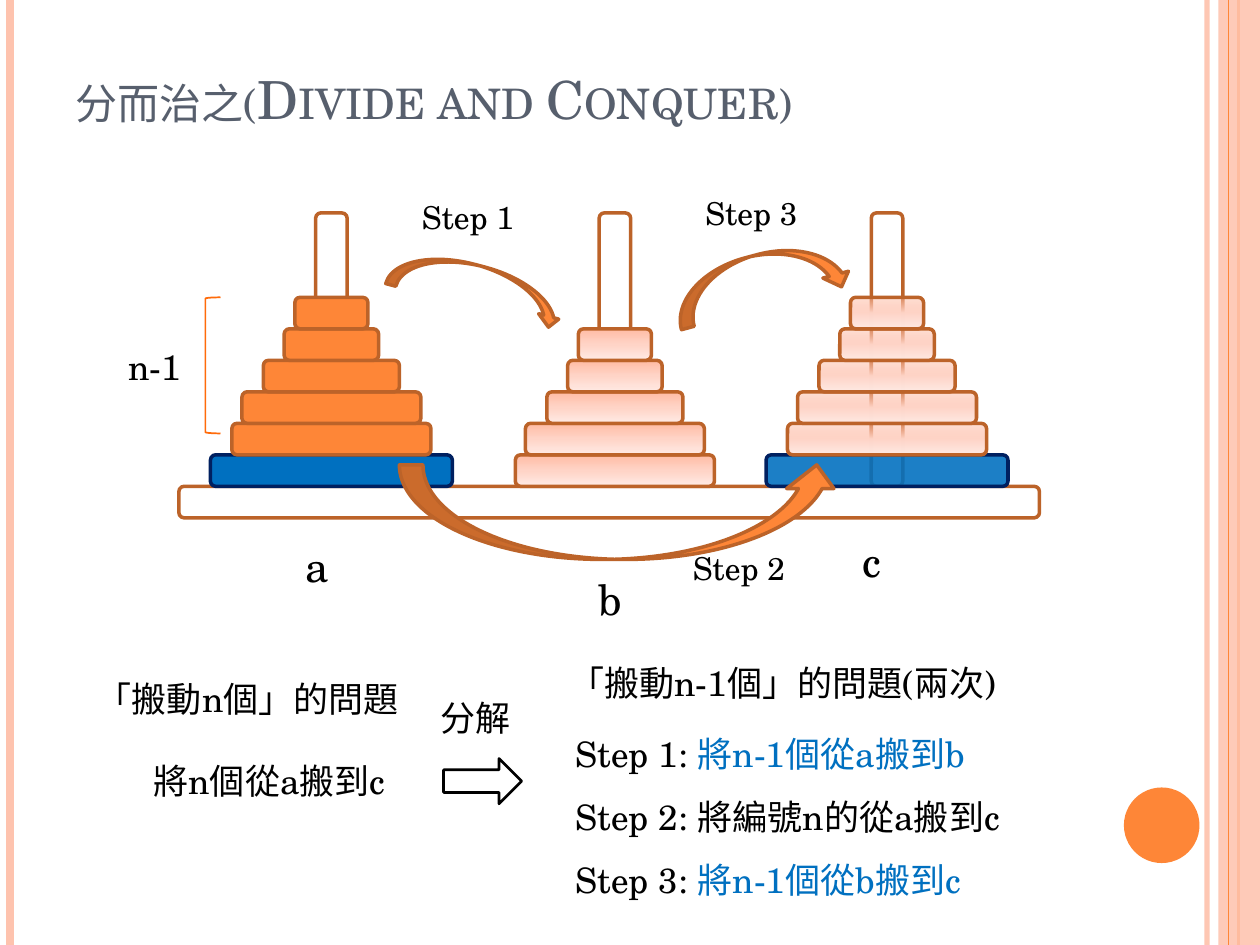
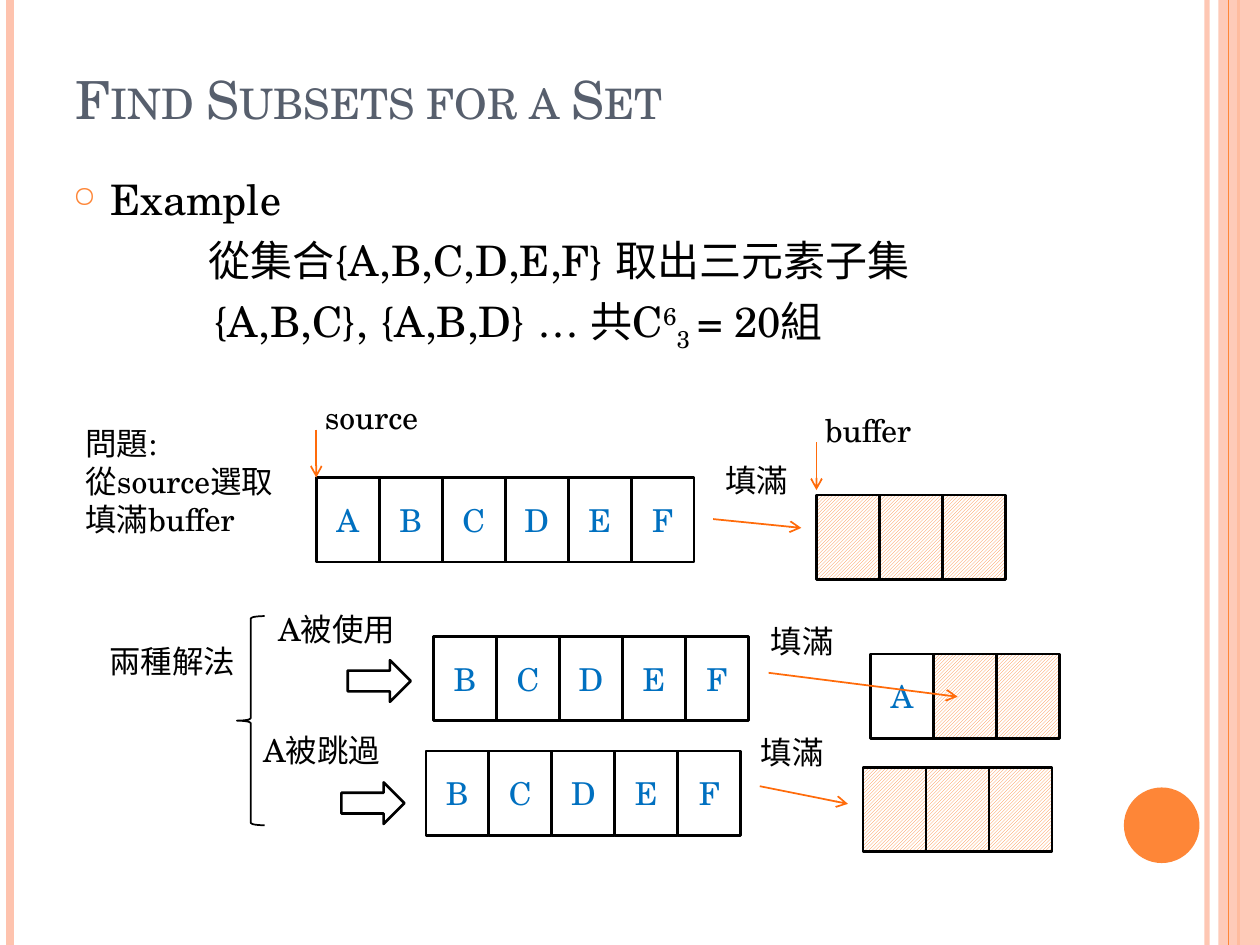
from dataclasses import dataclass
from typing import Optional

from lxml.etree import SubElement
from pptx import Presentation
from pptx.dml.color import RGBColor
from pptx.enum.dml import MSO_PATTERN
from pptx.enum.shapes import MSO_CONNECTOR, MSO_SHAPE
from pptx.enum.text import MSO_ANCHOR, PP_ALIGN
from pptx.oxml.ns import qn
from pptx.util import Inches, Pt

WIDTH, HEIGHT = Inches(10), Inches(7.5)
COLUMNS, ROWS = 10, 7.5

ORANGE = RGBColor(0xFE, 0x86, 0x37)
DARK_ORANGE = RGBColor(0xBC, 0x63, 0x29)
BRIGHT_ORANGE = RGBColor(0xFF, 0x6B, 0x0A)
PEACH = RGBColor(0xFE, 0xC3, 0xAE)
SLATE = RGBColor(0x57, 0x5F, 0x6D)
BLUE = RGBColor(0x00, 0x70, 0xC0)
NAVY = RGBColor(0x00, 0x20, 0x60)
BLACK = RGBColor(0, 0, 0)
WHITE = RGBColor(0xFF, 0xFF, 0xFF)
GHOST_STOPS = ((0, RGBColor(0xFF, 0xBB, 0xA3)), (50, RGBColor(0xFF, 0xD4, 0xC7)),
               (100, RGBColor(0xFF, 0xEA, 0xE4)))
LATIN_FONT, CHINESE_FONT = "TeX Gyre Schola", "Noto Sans CJK TC"


@dataclass(frozen=True)
class Area:
    """A place on the grid, in columns and rows."""
    left: float
    top: float
    width: float
    height: float


@dataclass(frozen=True)
class Span:
    text: str
    color: RGBColor = BLACK
    baseline: int = 0


@dataclass(frozen=True)
class Line:
    spans: tuple[Span, ...]
    indent: float = 0
    bullet: str = ""


@dataclass(frozen=True)
class Label:
    text: str
    area: Area
    size: int = 18


@dataclass(frozen=True)
class Stroke:
    start: tuple[float, float]
    end: tuple[float, float]
    color: RGBColor = BRIGHT_ORANGE
    weight: float = 1
    opacity: int = 100
    arrow: bool = True


@dataclass(frozen=True)
class Look:
    fill: Optional[RGBColor] = None
    line: Optional[RGBColor] = BLACK
    weight: float = 1.5
    opacity: int = 100
    ghost: bool = False
    hatched: bool = False


@dataclass(frozen=True)
class Tower:
    center: float
    discs: tuple[float, ...]
    look: Look
    last_disc: Look


@dataclass(frozen=True)
class CellRow:
    """Adjoining cells; a dot stands for a hatched, still empty cell."""
    left: float
    top: float
    cells: str


WOOD = Look(WHITE, DARK_ORANGE, 2)
DISC = Look(ORANGE, DARK_ORANGE, 2)
GHOST = Look(None, DARK_ORANGE, 2, ghost=True)
CLEAR_GHOST = Look(None, DARK_ORANGE, 2, 44, ghost=True)
LARGEST = Look(BLUE, NAVY, 2)
FADED_LARGEST = Look(BLUE, NAVY, 2, 89)
OUTLINE = Look()
HATCHED = Look(hatched=True)


def across(columns: float) -> int:
    return round(WIDTH * columns / COLUMNS)


def down(rows: float) -> int:
    return round(HEIGHT * rows / ROWS)


def place(area: Area) -> tuple[int, int, int, int]:
    return across(area.left), down(area.top), across(area.width), down(area.height)


def add_opacity(parent, percent: int) -> None:
    if percent < 100:
        color = next(parent.iter(qn("a:srgbClr")))
        SubElement(color, qn("a:alpha"), val=str(percent * 1000))


def add_gradient(shape, first_opacity: int) -> None:
    properties = shape.element.spPr
    gradient = SubElement(properties, qn("a:gradFill"), rotWithShape="1")
    stops = SubElement(gradient, qn("a:gsLst"))
    for position, color in GHOST_STOPS:
        stop = SubElement(stops, qn("a:gs"), pos=str(position * 1000))
        SubElement(stop, qn("a:srgbClr"), val=str(color))
    add_opacity(stops, first_opacity)
    SubElement(gradient, qn("a:lin"), ang="5400000", scaled="0")
    properties.find(qn("a:prstGeom")).addnext(gradient)


def add_figure(page, kind: MSO_SHAPE, area: Area, look: Look, rotation: float = 0):
    shape = page.shapes.add_shape(kind, *place(area))
    shape.shadow.inherit = False
    shape.rotation = rotation
    if look.ghost:
        add_gradient(shape, look.opacity)
    elif look.hatched:
        shape.fill.patterned()
        shape.fill.pattern = MSO_PATTERN.LIGHT_UPWARD_DIAGONAL
        shape.fill.fore_color.rgb = ORANGE
        shape.fill.back_color.rgb = WHITE
    elif look.fill is not None:
        shape.fill.solid()
        shape.fill.fore_color.rgb = look.fill
        add_opacity(shape.element.spPr, look.opacity)
    else:
        shape.fill.background()
    if look.line is None:
        shape.line.fill.background()
    else:
        shape.line.color.rgb = look.line
        shape.line.width = Pt(look.weight)
    return shape


def add_stroke(page, stroke: Stroke) -> None:
    (x1, y1), (x2, y2) = stroke.start, stroke.end
    connector = page.shapes.add_connector(
        MSO_CONNECTOR.STRAIGHT, across(x1), down(y1), across(x2), down(y2))
    connector.line.color.rgb = stroke.color
    connector.line.width = Pt(stroke.weight)
    properties = connector.element.spPr
    add_opacity(properties, stroke.opacity)
    if stroke.arrow:
        SubElement(properties.find(qn("a:ln")), qn("a:tailEnd"), type="arrow")
    SubElement(properties, qn("a:effectLst"))


def add_span(para, span: Span, size: int):
    run = para.add_run()
    run.text = span.text
    run.font.name = LATIN_FONT
    run.font.size = Pt(size)
    run.font.color.rgb = span.color
    properties = run.font._element
    SubElement(properties, qn("a:ea"), typeface=CHINESE_FONT)
    if span.baseline:
        properties.set("baseline", str(span.baseline * 1000))
    return run


def add_bullet(para, symbol: str) -> None:
    properties = para._p.get_or_add_pPr()
    properties.set("indent", str(-properties_indent(properties)))
    color = SubElement(properties, qn("a:buClr"))
    SubElement(color, qn("a:srgbClr"), val=str(ORANGE))
    SubElement(properties, qn("a:buSzPct"), val="70000")
    SubElement(properties, qn("a:buChar"), char=symbol)


def properties_indent(properties) -> int:
    return int(properties.get("marL"))


def add_text(page, area: Area, lines: list[Line], size: int,
             spacing: float = 1, before: float = 0):
    box = page.shapes.add_textbox(*place(area))
    box.text_frame.word_wrap = True
    for index, line in enumerate(lines):
        para = box.text_frame.paragraphs[0] if index == 0 else box.text_frame.add_paragraph()
        para.line_spacing = spacing
        para.space_before = Pt(before)
        if line.indent:
            para._p.get_or_add_pPr().set("marL", str(across(line.indent)))
        if line.bullet:
            add_bullet(para, line.bullet)
        for span in line.spans:
            add_span(para, span, size)
    return box


def add_label(page, label: Label) -> None:
    lines = [Line((Span(text),)) for text in label.text.split("\n")]
    add_text(page, label.area, lines, label.size)


def add_page(deck, title: str):
    """Add a slide with the side bands, the dot and the title."""
    page = deck.slides.add_slide(deck.slide_layouts[6])
    for x, color, weight, opacity in ((9.58, PEACH, 3, 93), (0.08, PEACH, 4.5, 100),
                                      (9.83, ORANGE, 1.5, 100)):
        add_stroke(page, Stroke((x, 0), (x, ROWS), color, weight, opacity, False))
    add_figure(page, MSO_SHAPE.RECTANGLE, Area(9.67, 0, 0.33, ROWS), Look(PEACH, None, opacity=87))
    add_stroke(page, Stroke((9.75, 0), (9.75, ROWS), ORANGE, 0.75, arrow=False))
    add_figure(page, MSO_SHAPE.OVAL, Area(8.92, 6.25, 0.6, 0.6), Look(ORANGE, None))
    box = add_text(page, Area(0.5, 0.3, 8.17, 0.78), [Line((Span(title, SLATE),))], 30)
    box.text_frame.vertical_anchor = MSO_ANCHOR.BOTTOM
    box.text_frame.paragraphs[0].runs[0].font._element.set("cap", "small")
    return page


def add_tower(page, tower: Tower, ground: float, thickness: float) -> None:
    for level, width in enumerate(tower.discs):
        area = Area(tower.center - width / 2, ground - (level + 1) * thickness, width, thickness)
        look = tower.look if level else tower.last_disc
        add_figure(page, MSO_SHAPE.ROUNDED_RECTANGLE, area, look)


def add_cells(page, row: CellRow) -> None:
    width, height = 0.5, 0.67
    for index, letter in enumerate(row.cells):
        empty = letter == "."
        area = Area(row.left + index * width, row.top, width, height)
        cell = add_figure(page, MSO_SHAPE.RECTANGLE, area, HATCHED if empty else OUTLINE)
        if not empty:
            cell.text_frame.vertical_anchor = MSO_ANCHOR.MIDDLE
            para = cell.text_frame.paragraphs[0]
            para.alignment = PP_ALIGN.CENTER
            add_span(para, Span(letter, BLUE), 18)


def build_towers(deck) -> None:
    page = add_page(deck, "分而治之(Divide and Conquer)")
    ground, thickness = 3.86, 0.25
    discs = (1.92, 1.58, 1.42, 1.08, 0.75, 0.58)
    towers = (Tower(2.63, discs, DISC, LARGEST), Tower(4.88, discs[1:], GHOST, GHOST),
              Tower(7.04, discs, CLEAR_GHOST, FADED_LARGEST))
    for tower in towers:
        add_figure(page, MSO_SHAPE.ROUNDED_RECTANGLE,
                   Area(tower.center - thickness / 2, 1.69, thickness, ground - 1.69), WOOD)
    add_figure(page, MSO_SHAPE.ROUNDED_RECTANGLE, Area(1.42, ground, 6.83, thickness), WOOD)
    for tower in towers:
        add_tower(page, tower, ground, thickness)
    add_figure(page, MSO_SHAPE.LEFT_BRACKET, Area(1.63, 2.36, 0.12, 1.08),
               Look(line=BRIGHT_ORANGE, weight=1))
    curve = MSO_SHAPE.CURVED_DOWN_ARROW
    add_figure(page, curve, Area(3.08, 2.11, 1.42, 0.33), DISC, 15)
    add_figure(page, curve, Area(5.33, 2.02, 1.42, 0.42), DISC, -15)
    under = add_figure(page, curve, Area(3.17, 3.69, 3.5, 0.75), DISC)
    under.element.spPr.xfrm.set("flipV", "1")
    add_figure(page, MSO_SHAPE.RIGHT_ARROW, Area(3.52, 6.02, 0.62, 0.36), OUTLINE)
    for label in (
        Label("n-1", Area(0.92, 2.69, 0.83, 0.44), 20),
        Label("Step 1", Area(3.25, 1.52, 1.25, 0.4)),
        Label("Step 2", Area(5.4, 4.31, 1.25, 0.4)),
        Label("Step 3", Area(5.5, 1.49, 1.25, 0.4)),
        Label("a", Area(2.33, 4.24, 1.35, 0.5), 24),
        Label("b", Area(4.65, 4.5, 0.46, 0.5), 24),
        Label("c", Area(6.75, 4.2, 1.1, 0.5), 24),
        Label("將n個從a搬到c", Area(1.12, 5.98, 2.16, 0.44), 20),
        Label("「搬動n個」的問題", Area(0.67, 5.33, 2.79, 0.44), 20),
        Label("「搬動n-1個」的問題(兩次)", Area(4.42, 5.2, 3.67, 0.44), 20),
        Label("分解", Area(3.4, 5.48, 0.76, 0.44), 20),
    ):
        add_label(page, label)
    moves = (("將n-1個從a搬到b", BLUE), ("將編號n的從a搬到c", BLACK), ("將n-1個從b搬到c", BLUE))
    steps = [Line((Span(f"Step {number}: "), Span(move, color)))
             for number, (move, color) in enumerate(moves, 1)]
    add_text(page, Area(4.47, 5.6, 4.07, 1.62), steps, 20, spacing=1.5)


def build_subsets(deck) -> None:
    page = add_page(deck, "Find Subsets for a Set")
    add_text(page, Area(0.48, 1.33, 8.17, 2.01), [
        Line((Span("Example"),), 0.3, "○"),
        Line((Span("從集合{A,B,C,D,E,F} 取出三元素子集"),), 1.08),
        Line((Span("{A,B,C}, {A,B,D} … 共C"), Span("6", baseline=30),
              Span("3 ", baseline=-25), Span("= 20組")), 1.12),
    ], 24, before=6)
    for row in (CellRow(2.51, 3.79, "ABCDEF"), CellRow(6.48, 3.93, "..."),
                CellRow(3.44, 5.05, "BCDEF"), CellRow(6.91, 5.19, "A.."),
                CellRow(3.38, 5.96, "BCDEF"), CellRow(6.85, 6.09, "...")):
        add_cells(page, row)
    for left, top in ((2.76, 5.24), (2.71, 6.21)):
        add_figure(page, MSO_SHAPE.RIGHT_ARROW, Area(left, top, 0.5, 0.33), OUTLINE)
    add_figure(page, MSO_SHAPE.LEFT_BRACE, Area(1.88, 4.89, 0.22, 1.66), Look(weight=1))
    for start, end in (((5.66, 4.12), (6.36, 4.19)), ((6.1, 5.34), (7.6, 5.53)),
                       ((6.03, 6.24), (6.73, 6.38)), ((2.51, 3.41), (2.51, 3.79)),
                       ((6.48, 3.51), (6.48, 3.89))):
        add_stroke(page, Stroke(start, end))
    for text, left, top, width in (
        ("source", 2.48, 3.11, 1.56), ("buffer", 6.45, 3.21, 1.56),
        ("A被使用", 2.11, 4.79, 1.26), ("A被跳過", 1.99, 5.75, 1.26),
        ("兩種解法", 0.77, 5.05, 1.26), ("填滿", 5.66, 3.61, 1.1),
        ("填滿", 6.02, 4.89, 1.1), ("填滿", 5.94, 5.77, 1.1),
        ("問題:\n從source選取 填滿buffer", 0.58, 3.32, 1.9),
    ):
        add_label(page, Label(text, Area(left, top, width, 0.4)))


def main() -> None:
    deck = Presentation()
    deck.slide_width, deck.slide_height = WIDTH, HEIGHT
    build_towers(deck)
    build_subsets(deck)
    deck.save("out.pptx")


if __name__ == "__main__":
    main()
